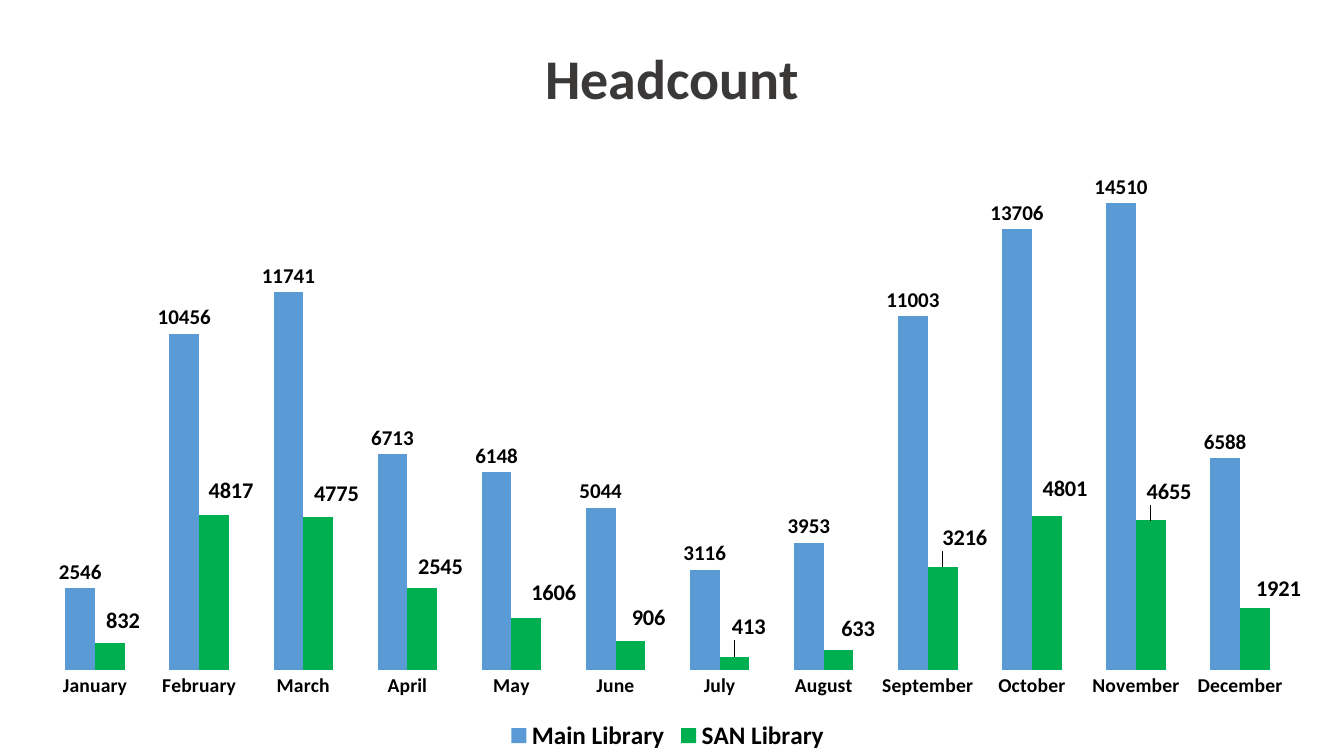
from lxml import etree
from pptx import Presentation
from pptx.chart.data import CategoryChartData
from pptx.dml.color import RGBColor
from pptx.enum.chart import XL_CHART_TYPE, XL_LABEL_POSITION, XL_LEGEND_POSITION, XL_TICK_MARK
from pptx.enum.text import MSO_ANCHOR, PP_ALIGN
from pptx.oxml import parse_xml
from pptx.oxml.ns import nsdecls, qn
from pptx.util import Cm, Pt


def style(font, size, color="000000", bold=True):
    font.name, font.size, font.bold = "Calibri", Pt(size), bold
    font.color.rgb = RGBColor.from_string(color)


def layout(x, y, w=None, h=None):
    """Manual chart layout, in fractions of the chart area."""
    node = parse_xml(f"<c:layout {nsdecls('c')}><c:manualLayout/></c:layout>")
    items = [("x", x), ("y", y)]
    if w:
        items = [("layoutTarget", "inner"), ("xMode", "edge"), ("yMode", "edge"),
                 *items, ("w", w), ("h", h)]
    for tag, val in items:
        etree.SubElement(node[0], qn(f"c:{tag}")).set("val", str(val))
    return node


months = ["January", "February", "March", "April", "May", "June", "July",
          "August", "September", "October", "November", "December"]
main = [2546, 10456, 11741, 6713, 6148, 5044, 3116, 3953, 11003, 13706, 14510, 6588]
san = [832, 4817, 4775, 2545, 1606, 906, 413, 633, 3216, 4801, 4655, 1921]
# Right and upward shifts of the SAN labels, in thousandths of the chart
shifts = [(10, 7), (13, 11), (14, 8), (14, 5), (21, 13), (14, 8),
          (11, 20), (15, 5), (17, 18), (14, 15), (14, 18), (18, 2)]

deck = Presentation()
deck.slide_width, deck.slide_height = Cm(33.87), Cm(19.05)
slide = deck.slides.add_slide(deck.slide_layouts[5])

# Title
title = slide.shapes.title
title.left, title.top, title.width, title.height = Cm(2.33), Cm(1), Cm(29.21), Cm(3.68)
frame = title.text_frame
frame.text = "Headcount"
frame.vertical_anchor = MSO_ANCHOR.TOP
frame.margin_top = Cm(0.28)
head = frame.paragraphs[0]
head.alignment, head.line_spacing = PP_ALIGN.CENTER, 0.9
style(head.runs[0].font, 40, "3B3838")

# Chart
data = CategoryChartData()
data.categories = months
data.add_series("Main Library", main)
data.add_series("SAN Library", san)
chart = slide.shapes.add_chart(XL_CHART_TYPE.COLUMN_CLUSTERED, Cm(0.43), Cm(3.61),
                               Cm(32.79), Cm(15.44), data).chart
style(chart.font, 10, bold=False)
chart.has_title = False
area = chart.plots[0]._element.getparent()
for old in area.findall(qn("c:layout")):
    area.remove(old)
area.insert(0, layout(0.02, 0.02, 0.96, 0.84))

# Axes and legend
months_axis = chart.category_axis
months_axis.major_tick_mark = XL_TICK_MARK.NONE
months_axis.format.line.fill.background()
style(months_axis.tick_labels.font, 14)
count_axis = chart.value_axis
count_axis.minimum_scale, count_axis.maximum_scale = 0, 16000
count_axis.has_major_gridlines = False
count_axis.visible = False
chart.has_legend = True
chart.legend.position = XL_LEGEND_POSITION.BOTTOM
chart.legend.include_in_layout = False
style(chart.legend.font, 18)

# Columns and their labels
plot = chart.plots[0]
plot.gap_width, plot.overlap, plot.vary_by_categories = 150, 0, False
for series, color, size in zip(plot.series, ("5B9BD5", "00B050"), (15, 16)):
    series.format.fill.solid()
    series.format.fill.fore_color.rgb = RGBColor.from_string(color)
    labels = series.data_labels
    labels.show_value = True
    labels.position = XL_LABEL_POSITION.OUTSIDE_END
    style(labels.font, size)

# Shifted SAN labels
series = plot.series[1]
for num in range(len(months)):
    label = series.points[num].data_label
    style(label.font, 16)
    label.position = XL_LABEL_POSITION.OUTSIDE_END
for node, (right, up) in zip(series._element.iter(qn("c:dLbl")), shifts):
    node.find(qn("c:idx")).addnext(layout(right / 1000, -up / 1000))

deck.save("out.pptx")
